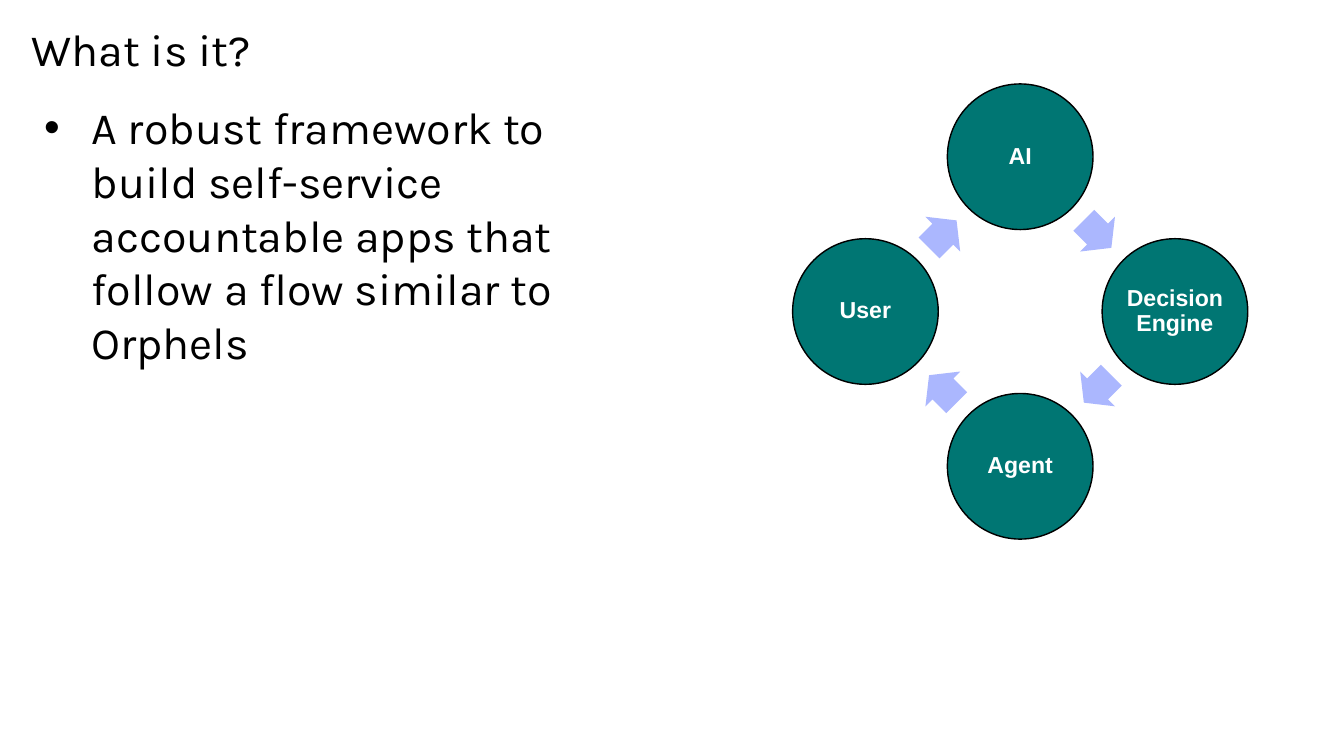
import math

from pptx import Presentation
from pptx.dml.color import RGBColor
from pptx.enum.shapes import MSO_SHAPE
from pptx.enum.text import MSO_ANCHOR, MSO_AUTO_SIZE, PP_ALIGN
from pptx.oxml import parse_xml
from pptx.oxml.ns import nsdecls
from pptx.util import Cm, Pt

CIRCLE, ARROW = MSO_SHAPE.OVAL, MSO_SHAPE.RIGHT_ARROW
TOP, MIDDLE = MSO_ANCHOR.TOP, MSO_ANCHOR.MIDDLE
LEFT, CENTER = PP_ALIGN.LEFT, PP_ALIGN.CENTER
NO_FIT = MSO_AUTO_SIZE.NONE

TITLE = "What is it?"
BODY = ("A robust framework to build self-service accountable apps "
        "that follow a flow similar to Orphels")
STEPS = ["AI", "Decision Engine", "Agent", "User"]  # clockwise from the top

THEME = {
    "ink": RGBColor(0x00, 0x00, 0x00),
    "circle": RGBColor(0x00, 0x76, 0x73),
    "arrow": RGBColor(0xAB, 0xB7, 0xFE),
    "label": RGBColor(0xFF, 0xFF, 0xFF),
    "text_font": "Karla", "text_size": Pt(64),
    "label_font": "Arial", "label_size": Pt(33),
    "outline": Pt(2),
}

# Lengths in centimetres
SLIDE_SIZE = (67.74, 38.1)
TITLE_BOX = (1.6, 1.07, 27.53, 7.95)
BODY_BOX = (1.6, 5.03, 30.76, 23.83)
BULLET_MARGIN, BULLET_INDENT = 3.02, -2.39
CYCLE_CENTER = (51.42, 15.7)
CYCLE_RADIUS = 7.8
CIRCLE_SIZE = (7.34, 7.34)
ARROW_SIZE = (1.96, 2.48)
LABEL_INSET = 0.13

TEXT_FORMAT = {"name": THEME["text_font"], "size": THEME["text_size"], "bold": False}
LABEL_FORMAT = {"name": THEME["label_font"], "size": THEME["label_size"], "bold": True}


def set_all(target, values):
    for name, value in values.items():
        setattr(target, name, value)


def write(shape, text, font, color, anchor, align, inset=0, spacing=1.0):
    frame = shape.text_frame
    margins = {f"margin_{side}": Cm(inset) for side in ("left", "top", "right", "bottom")}
    set_all(frame, {"word_wrap": True, "auto_size": NO_FIT, "vertical_anchor": anchor, **margins})
    para = frame.paragraphs[0]
    set_all(para, {"alignment": align, "line_spacing": spacing, "space_before": Pt(0)})
    span = para.add_run()
    span.text = text
    set_all(span.font, font)
    span.font.color.rgb = color
    return para


def fill_placeholder(placeholder, box, text):
    sides = ("left", "top", "width", "height")
    set_all(placeholder, {side: Cm(length) for side, length in zip(sides, box)})
    return write(placeholder, text, TEXT_FORMAT, THEME["ink"], TOP, LEFT)


def add_bullet(para):
    properties = para._p.get_or_add_pPr()
    properties.set("marL", str(Cm(BULLET_MARGIN)))
    properties.set("indent", str(Cm(BULLET_INDENT)))
    for tag in ('a:buFont {} typeface="Arial"', 'a:buChar {} char="•"'):
        properties.append(parse_xml(f"<{tag.format(nsdecls('a'))}/>"))


def add_on_cycle(page, kind, size, radius, angle, color):
    """Centre a shape on the cycle; angle is in degrees, clockwise from the right."""
    turn = math.radians(angle)
    x = CYCLE_CENTER[0] + radius * math.cos(turn) - size[0] / 2
    y = CYCLE_CENTER[1] + radius * math.sin(turn) - size[1] / 2
    shape = page.shapes.add_shape(kind, Cm(x), Cm(y), Cm(size[0]), Cm(size[1]))
    shape.shadow.inherit = False
    shape.fill.solid()
    shape.fill.fore_color.rgb = color
    return shape


def add_cycle(page):
    step_angle = 360 / len(STEPS)
    arrow_radius = CYCLE_RADIUS * math.cos(math.radians(step_angle / 2))
    for index, label in enumerate(STEPS):
        angle = index * step_angle - 90
        circle = add_on_cycle(page, CIRCLE, CIRCLE_SIZE, CYCLE_RADIUS, angle, THEME["circle"])
        circle.line.color.rgb = THEME["ink"]
        circle.line.width = THEME["outline"]
        write(circle, label, LABEL_FORMAT, THEME["label"], MIDDLE, CENTER, LABEL_INSET, 0.9)

        middle = angle + step_angle / 2
        arrow = add_on_cycle(page, ARROW, ARROW_SIZE, arrow_radius, middle, THEME["arrow"])
        arrow.line.fill.background()
        arrow.adjustments[0], arrow.adjustments[1] = 0.6, 0.5
        arrow.rotation = middle + 90


def main():
    deck = Presentation()
    deck.slide_width, deck.slide_height = (Cm(length) for length in SLIDE_SIZE)
    page = deck.slides.add_slide(deck.slide_layouts[1])
    fill_placeholder(page.shapes.title, TITLE_BOX, TITLE)
    add_bullet(fill_placeholder(page.placeholders[1], BODY_BOX, BODY))
    add_cycle(page)
    deck.save("out.pptx")


if __name__ == "__main__":
    main()
